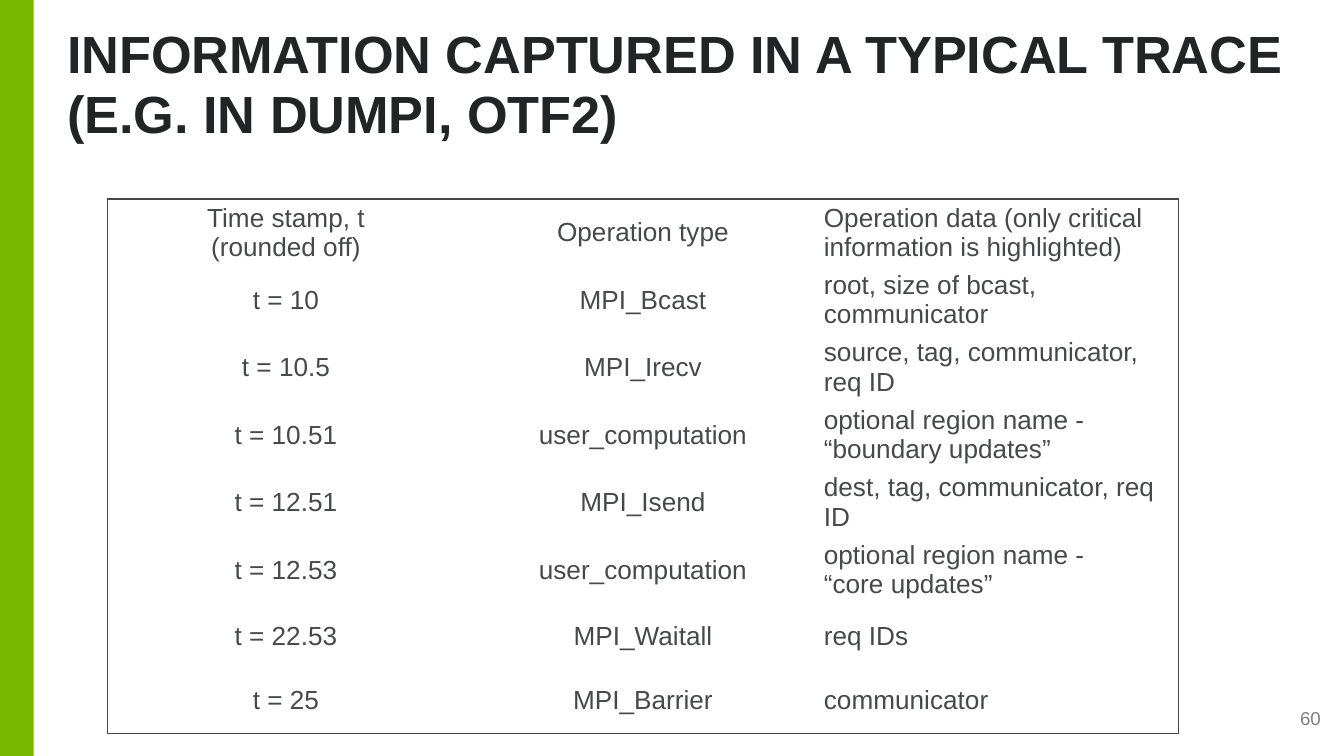
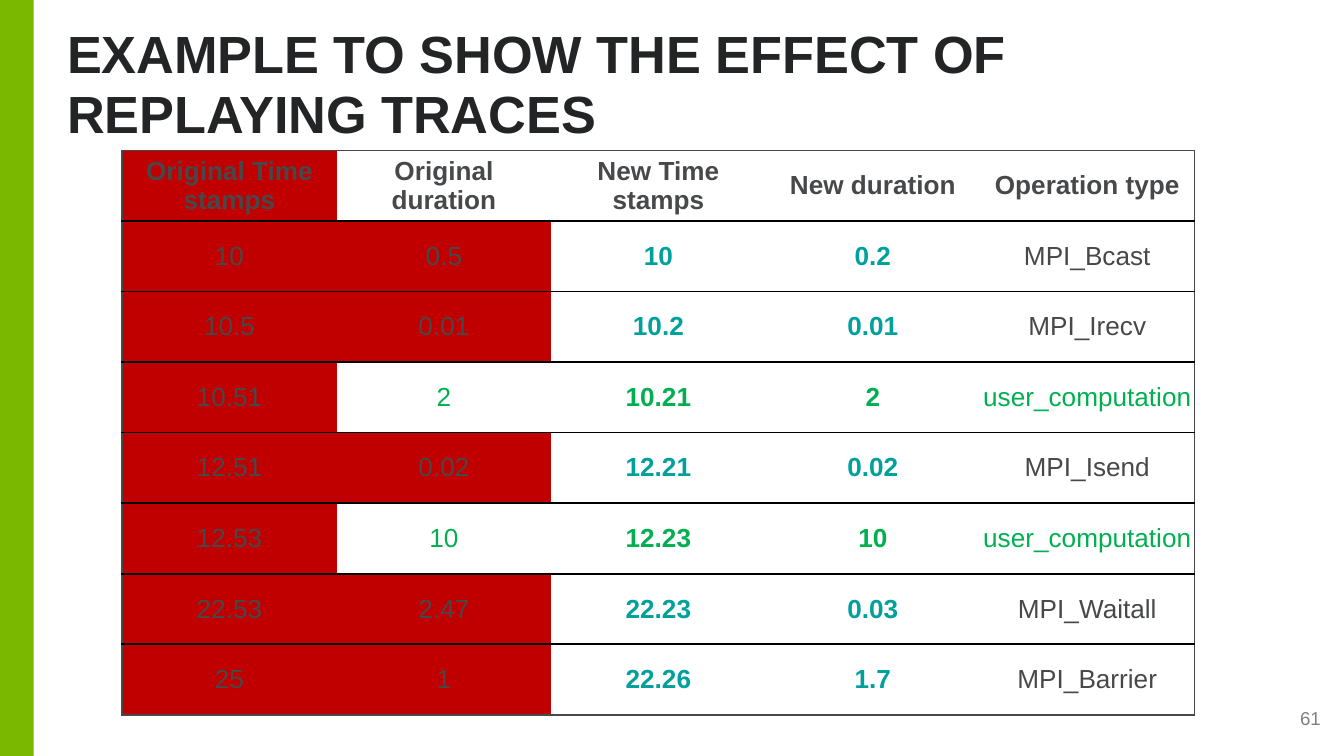
from pptx import Presentation
from pptx.dml.color import RGBColor
from pptx.enum.shapes import MSO_SHAPE
from pptx.enum.text import MSO_ANCHOR, PP_ALIGN
from pptx.oxml.ns import qn
from pptx.util import Inches, Pt
from lxml.etree import SubElement

GREEN_BAND = RGBColor(0x7A, 0xB8, 0x00)
TITLE_INK = RGBColor(0x23, 0x24, 0x25)
NUMBER_GRAY = RGBColor(0x80, 0x80, 0x80)
BODY_GRAY = RGBColor(0x47, 0x48, 0x4A)
BLACK = RGBColor(0, 0, 0)
WHITE = RGBColor(0xFF, 0xFF, 0xFF)
STALE_RED = RGBColor(0xC0, 0x00, 0x00)
NEW_TEAL = RGBColor(0x00, 0xA1, 0x9C)
KEPT_GREEN = RGBColor(0x00, 0xB0, 0x50)
CELL_INSET = Pt(1.25)

# "\n" starts a paragraph, "\v" breaks a line within one
TRACE_ROWS = [
    ("Time stamp, t\n(rounded off)", "Operation type",
     "Operation data (only critical information is highlighted)"),
    ("t = 10", "MPI_Bcast", "root, size of bcast, communicator"),
    ("t = 10.5", "MPI_Irecv", "source, tag, communicator, req ID"),
    ("t = 10.51", "user_computation", "optional region name -\v“boundary updates”"),
    ("t = 12.51", "MPI_Isend", "dest, tag, communicator, req ID"),
    ("t = 12.53", "user_computation", "optional region name -\v“core updates”"),
    ("t = 22.53", "MPI_Waitall", "req IDs"),
    ("t = 25", "MPI_Barrier", "communicator"),
]
REPLAY_ROWS = [
    ("Original Time stamps", "Original duration", "New Time stamps",
     "New duration", "Operation type"),
    ("10", "0.5", "10", "0.2", "MPI_Bcast"),
    ("10.5", "0.01", "10.2", "0.01", "MPI_Irecv"),
    ("10.51", "2", "10.21", "2", "user_computation"),
    ("12.51", "0.02", "12.21", "0.02", "MPI_Isend"),
    ("12.53", "10", "12.23", "10", "user_computation"),
    ("22.53", "2.47", "22.23", "0.03", "MPI_Waitall"),
    ("25", "1", "22.26", "1.7", "MPI_Barrier"),
]
# title, number, table place, rows, whether it is the replay table
PAGES = [
    ("INFORMATION CAPTURED IN A TYPICAL TRACE\v(E.G. IN DUMPI, OTF2)", "60",
     (0.8, 1.48, 7.97, 3.86), TRACE_ROWS, False),
    ("EXAMPLE TO SHOW THE EFFECT OF REPLAYING TRACES", "61",
     (0.91, 1.12, 7.98, 4.2), REPLAY_ROWS, True),
]


def write(frame, text, size, color, bold=False, align=PP_ALIGN.LEFT, spacing=None):
    for line_index, line in enumerate(text.split("\n")):
        para = frame.add_paragraph() if line_index else frame.paragraphs[0]
        para.alignment = align
        para.line_spacing = spacing
        for piece_index, piece in enumerate(line.split("\v")):
            if piece_index:
                para.add_line_break()
            span = para.add_run()
            span.text = piece
            span.font.name = "Arial"
            span.font.size = Pt(size)
            span.font.bold = bold
            span.font.color.rgb = color


def set_border(cell, side, color):
    """Draw one side (L, R, T or B) of a cell, or clear it if color is None."""
    line = SubElement(cell._tc.get_or_add_tcPr(), qn(f"a:ln{side}"), w=str(Pt(1)))
    if color is None:
        SubElement(line, qn("a:noFill"))
    else:
        SubElement(SubElement(line, qn("a:solidFill")), qn("a:srgbClr"), val=str(color))


deck = Presentation()
deck.slide_width = Inches(10)
deck.slide_height = Inches(10) * 9 // 16

for title, number, place, rows, is_replay in PAGES:
    page = deck.slides.add_slide(deck.slide_layouts[6])

    band = page.shapes.add_shape(MSO_SHAPE.RECTANGLE, 0, 0, Inches(0.25), deck.slide_height)
    band.shadow.inherit = False
    band.fill.solid()
    band.fill.fore_color.rgb = GREEN_BAND
    band.line.fill.background()

    title_box = page.shapes.add_textbox(Inches(0.5), Inches(0.4), Inches(9.16), Inches(0.68))
    number_box = page.shapes.add_textbox(Inches(9.5), Inches(5.28), Inches(0.5), Inches(0.15))
    for box in (title_box, number_box):
        frame = box.text_frame
        frame.word_wrap = True
        frame.vertical_anchor = MSO_ANCHOR.BOTTOM
        frame.margin_left = frame.margin_right = frame.margin_top = frame.margin_bottom = 0
    number_box.text_frame.margin_top = Inches(0.05)
    write(title_box.text_frame, title, 28, TITLE_INK, bold=True, spacing=0.95)
    write(number_box.text_frame, number, 10, NUMBER_GRAY, align=PP_ALIGN.CENTER)

    last_row, last_column = len(rows) - 1, len(rows[0]) - 1
    table = page.shapes.add_table(len(rows), len(rows[0]), *map(Inches, place)).table
    table.first_row = table.horz_banding = False
    row_rule = BLACK if is_replay else None

    for r, row in enumerate(rows):
        is_header = r == 0
        is_computation = "user_computation" in row
        for c, text in enumerate(row):
            cell = table.cell(r, c)
            cell.vertical_anchor = MSO_ANCHOR.MIDDLE
            cell.margin_left = cell.margin_right = CELL_INSET
            cell.margin_top = cell.margin_bottom = CELL_INSET
            set_border(cell, "L", BODY_GRAY if c == 0 else None)
            set_border(cell, "R", BODY_GRAY if c == last_column else None)
            set_border(cell, "T", BODY_GRAY if is_header else row_rule)
            set_border(cell, "B", BODY_GRAY if r == last_row else row_rule)

            color, bold, align = BODY_GRAY, False, PP_ALIGN.CENTER
            if is_replay:
                is_new = c in (2, 3)
                is_stale = c == 0 or (c == 1 and not is_header and not is_computation)
                cell.fill.solid()
                cell.fill.fore_color.rgb = STALE_RED if is_stale else WHITE
                bold = is_header or is_new
                if is_computation and c > 0:
                    color = KEPT_GREEN
                elif is_new and not is_header:
                    color = NEW_TEAL
            else:
                cell.fill.background()
                if c == last_column:
                    align = PP_ALIGN.LEFT
            write(cell.text_frame, text, 14, color, bold, align)

deck.save("out.pptx")
